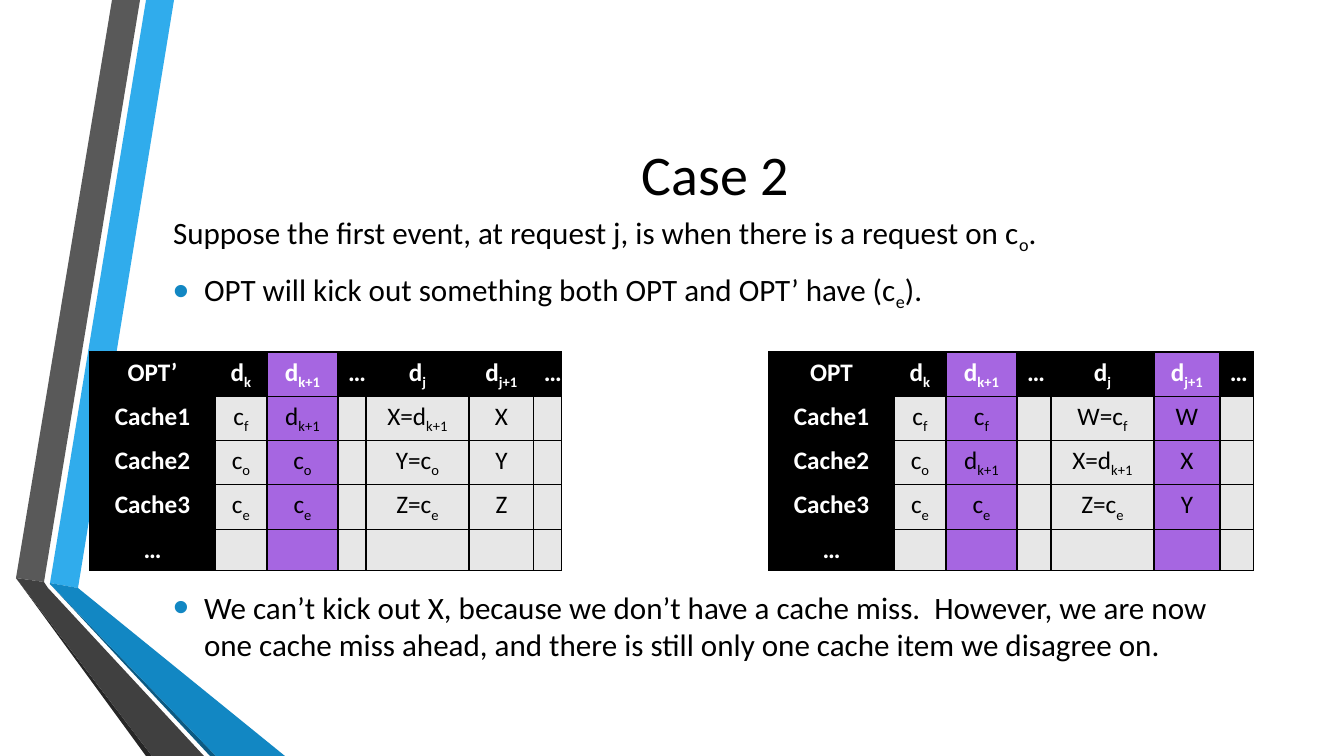
from dataclasses import dataclass

from lxml.etree import SubElement
from pptx import Presentation
from pptx.dml.color import RGBColor
from pptx.enum.text import MSO_ANCHOR, MSO_AUTO_SIZE, PP_ALIGN
from pptx.oxml.ns import qn
from pptx.util import Emu, Pt

SCALE = 12192000 / 1344


@dataclass(frozen=True)
class Theme:
    """Colours, font and type sizes of the slide."""
    font: str = "Calibri"
    title: float = 40
    body: float = 22.2
    cell: float = 18
    black: str = "000000"
    white: str = "FFFFFF"
    pale: str = "E7E7E7"
    mark: str = "A666E1"
    sky: str = "30ACEC"
    blue: str = "1287C3"
    navy: str = "0C5A82"
    grey: str = "595959"
    dark: str = "404040"
    deep: str = "262626"


THEME = Theme()

BANDS = [
    (THEME.sky, [(50, 583), (78, 588), (174, 0), (146, 0)]),
    (THEME.grey, [(140, 0), (112, 0), (16, 578), (44, 582)]),
    (THEME.deep, [(16, 578), (146, 756), (152, 756)]),
    (THEME.navy, [(50, 584), (210, 756), (216, 756)]),
    (THEME.blue, [(50, 584), (216, 756), (285, 756), (78, 588), (50, 583)]),
    (THEME.dark, [(204, 756), (48, 588), (44, 582), (16, 578), (152, 756)]),
]

LINES = [
    ("Suppose the first event, at request j, is when there is a request on c_o_.", False, None),
    ("OPT will kick out something both OPT and OPT’ have (c_e_).", True, None),
    ("We can’t kick out X, because we don’t have a cache miss.  However, we are now "
     "one cache miss ahead, and there is still only one cache item we disagree on.", True, 191),
]

HEAD = ["d_k", "d_k+1", "…", "d_j", "d_j+1", "…"]

LEFT = [
    ["OPT’", *HEAD],
    ["Cache1", "c_f", "d_k+1", "", "X=d_k+1", "X", ""],
    ["Cache2", "c_o", "c_o", "", "Y=c_o", "Y", ""],
    ["Cache3", "c_e", "c_e", "", "Z=c_e", "Z", ""],
    ["…"] + [""] * 6,
]

RIGHT = [
    ["OPT", *HEAD],
    ["Cache1", "c_f", "c_f", "", "W=c_f", "W", ""],
    ["Cache2", "c_o", "d_k+1", "", "X=d_k+1", "X", ""],
    ["Cache3", "c_e", "c_e", "", "Z=c_e", "Y", ""],
    ["…"] + [""] * 6,
]


def px(count):
    """Turn px into EMU."""
    return Emu(round(count * SCALE))


def place(shape, left, top, width, height):
    """Move and size a shape, and bring it to the front."""
    shape.left, shape.top = px(left), px(top)
    shape.width, shape.height = px(width), px(height)
    shape.element.getparent().append(shape.element)


def write(para, text, size, tint, bold=False):
    """Fill a paragraph, setting every second part between underscores as subscript."""
    first, *rest = text.split("_")
    para.text = first
    for part in rest:
        para.add_run().text = part
    for index, run in enumerate(para.runs):
        run.font.name = THEME.font
        run.font.size = Pt(size)
        run.font.bold = bold
        run.font.color.rgb = RGBColor.from_string(tint)
        if index % 2:
            run.font._element.set("baseline", "-25000")


def add_band(slide, tint, points):
    """Draw one flat piece of the side ribbon."""
    pen = slide.shapes.build_freeform(*points[0], scale=SCALE)
    pen.add_line_segments(points[1:], close=True)
    band = pen.convert_to_shape()
    band.shadow.inherit = False
    band.fill.solid()
    band.fill.fore_color.rgb = RGBColor.from_string(tint)
    band.line.fill.background()


def fill_title(title, text):
    """Place and write the title."""
    place(title, 163, 76, 1105, 194)
    frame = title.text_frame
    frame.auto_size = MSO_AUTO_SIZE.NONE
    frame.vertical_anchor = MSO_ANCHOR.MIDDLE
    para = frame.paragraphs[0]
    write(para, text, THEME.title, THEME.black)
    para.alignment = PP_ALIGN.CENTER


def set_bullet(para, shown):
    """Give a paragraph a round bullet, or none."""
    props = para._p.get_or_add_pPr()
    inset = px(31) if shown else 0
    props.set("marL", str(inset))
    props.set("indent", str(-inset))
    if not shown:
        SubElement(props, qn("a:buNone"))
        return
    tint = SubElement(props, qn("a:buClr"))
    SubElement(tint, qn("a:srgbClr"), val=THEME.blue)
    SubElement(props, qn("a:buSzPct"), val="145000")
    SubElement(props, qn("a:buFont"), typeface="Arial")
    SubElement(props, qn("a:buChar"), char="•")


def fill_body(body, lines):
    """Place the body and write its lines."""
    place(body, 163, 238, 1105, 400)
    frame = body.text_frame
    frame.auto_size = MSO_AUTO_SIZE.NONE
    frame.vertical_anchor = MSO_ANCHOR.MIDDLE
    for index, (text, listed, gap) in enumerate(lines):
        para = frame.add_paragraph() if index else frame.paragraphs[0]
        write(para, text, THEME.body, THEME.black)
        para.space_after = Pt(6)
        if gap:
            para.space_before = Pt(gap)
        set_bullet(para, listed)


def add_edges(cell):
    """Draw thin black lines around a cell."""
    props = cell._tc.get_or_add_tcPr()
    for side in ("lnL", "lnR", "lnT", "lnB"):
        edge = SubElement(props, qn(f"a:{side}"), w=str(Pt(1)))
        paint = SubElement(edge, qn("a:solidFill"))
        SubElement(paint, qn("a:srgbClr"), val=THEME.black)


def add_grid(slide, left, widths, rows, marks, heads):
    """Add a cache table, with marked columns and their marked heads."""
    frame = slide.shapes.add_table(len(rows), len(widths), px(left), px(352),
                                   px(sum(widths)), px(41 * len(rows)))
    table = frame.table
    table.horz_banding = False
    for col, width in zip(table.columns, widths):
        col.width = px(width)
    for y, row in enumerate(rows):
        for x, text in enumerate(row):
            cell = table.cell(y, x)
            edge = y == 0 or x == 0
            add_edges(cell)
            cell.fill.solid()
            marked = x in (heads if y == 0 else marks)
            shade = THEME.mark if marked else THEME.black if edge else THEME.pale
            cell.fill.fore_color.rgb = RGBColor.from_string(shade)
            para = cell.text_frame.paragraphs[0]
            para.alignment = PP_ALIGN.CENTER
            if text:
                write(para, text, THEME.cell, THEME.white if edge else THEME.black, edge)


def main():
    """Build and save the slide."""
    deck = Presentation()
    deck.slide_width, deck.slide_height = px(1344), px(756)
    slide = deck.slides.add_slide(deck.slide_layouts[1])
    for tint, points in BANDS:
        add_band(slide, tint, points)
    fill_title(slide.shapes.title, "Case 2")
    fill_body(slide.placeholders[1], LINES)
    add_grid(slide, 90, [125, 52, 71, 28, 103, 65, 28], LEFT, {2}, {2})
    add_grid(slide, 769, [125, 52, 71, 34, 103, 66, 34], RIGHT, {2, 5}, {2, 5})
    deck.save("out.pptx")


if __name__ == "__main__":
    main()
